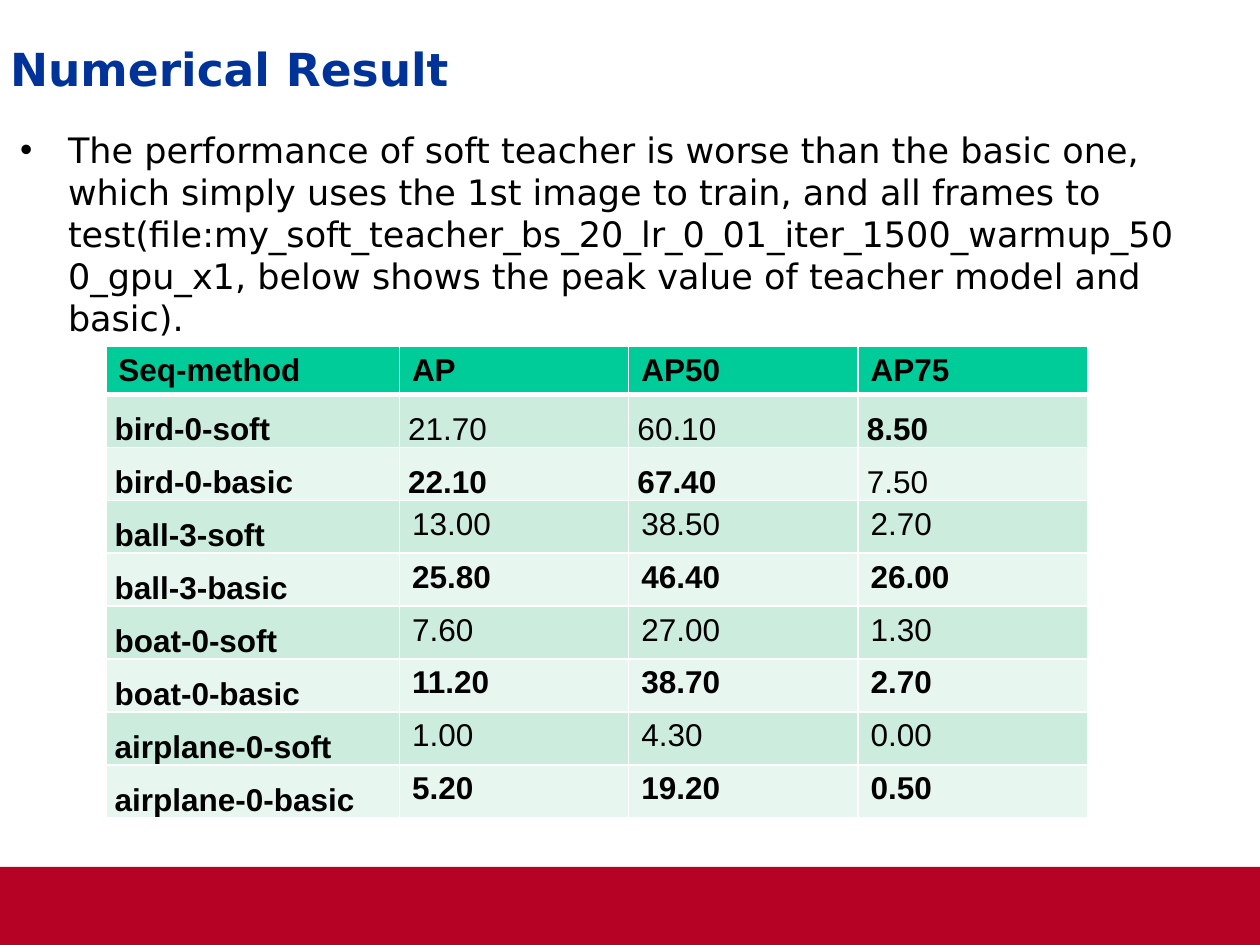
"""Build the numerical result slide with its score table."""
import dataclasses

import lxml.etree
import pptx
import pptx.dml.color
import pptx.enum.shapes
import pptx.enum.text
import pptx.oxml.ns
import pptx.util

Inches = pptx.util.Inches
Pt = pptx.util.Pt
qn = pptx.oxml.ns.qn


@dataclasses.dataclass(frozen=True)
class Theme:
    """Hold the colours, fonts and type sizes."""
    title: str = "003399"
    text: str = "000000"
    line: str = "FFFFFF"
    head: str = "00CC99"
    bands: tuple = ("CCECDE", "E7F6EF")
    bar: str = "B60225"
    sans: str = "DejaVu Sans"
    grid: str = "Arial"
    big: int = 26
    mid: int = 20
    small: int = 18


THEME = Theme()
HEADS = ("Seq-method", "AP", "AP50", "AP75")
SCORES = {
    "bird-0": ((21.7, 60.1, 8.5), (22.1, 67.4, 7.5)),
    "ball-3": ((13.0, 38.5, 2.7), (25.8, 46.4, 26.0)),
    "boat-0": ((7.6, 27.0, 1.3), (11.2, 38.7, 2.7)),
    "airplane-0": ((1.0, 4.3, 0.0), (5.2, 19.2, 0.5)),
}
POINT = (
    "The performance of soft teacher is worse than the basic one, which simply "
    "uses the 1st image to train, and all frames to "
    "test(file:my_soft_teacher_bs_20_lr_0_01_iter_1500_warmup_500_gpu_x1, "
    "below shows the peak value of teacher model and basic)."
)


def paint(code):
    """Turn a hex code into a colour."""
    return pptx.dml.color.RGBColor.from_string(code)


def add_run(para, text, size, face, tint=THEME.text, bold=False):
    """Add one styled run to a paragraph."""
    run = para.add_run()
    run.text = text
    font = run.font
    font.size, font.name, font.bold = Pt(size), face, bold
    font.color.rgb = paint(tint)


def set_frame(frame):
    """Set the wrap and margins shared by the text areas."""
    frame.word_wrap = True
    frame.auto_size = pptx.enum.text.MSO_AUTO_SIZE.NONE
    frame.margin_left = frame.margin_top = 0
    frame.margin_right, frame.margin_bottom = Inches(0.1), Inches(0.05)


def add_bar(slide):
    """Draw the red bar at the foot."""
    bar = slide.shapes.add_shape(
        pptx.enum.shapes.MSO_SHAPE.RECTANGLE,
        0, Inches(6.88), Inches(10), Inches(0.62))
    bar.shadow.inherit = False
    bar.fill.solid()
    bar.fill.fore_color.rgb = paint(THEME.bar)
    bar.line.fill.background()


def set_title(slide, text):
    """Place and fill the title."""
    title = slide.shapes.title
    title.left, title.top = Inches(0.08), Inches(0.19)
    title.width, title.height = Inches(9.77), Inches(0.79)
    frame = title.text_frame
    set_frame(frame)
    frame.vertical_anchor = pptx.enum.text.MSO_ANCHOR.MIDDLE
    para = frame.paragraphs[0]
    para.alignment = pptx.enum.text.PP_ALIGN.LEFT
    para.line_spacing = 0.95
    add_run(para, text, THEME.big, THEME.sans, THEME.title, True)


def add_point(slide, text):
    """Add the bullet text above the table."""
    box = slide.shapes.add_textbox(
        Inches(0.16), Inches(1.02), Inches(9.42), Inches(1.7))
    set_frame(box.text_frame)
    para = box.text_frame.paragraphs[0]
    props = para._p.get_or_add_pPr()
    props.set("marL", str(Inches(0.38)))
    props.set("indent", str(Inches(-0.38)))
    font = lxml.etree.SubElement(props, qn("a:buFont"))
    font.set("typeface", THEME.grid)
    lxml.etree.SubElement(props, qn("a:buChar")).set("char", "•")
    para.space_after = Pt(3)
    add_run(para, text, THEME.mid, THEME.sans)


def add_edge(cell, side, width):
    """Draw one white edge of a cell."""
    edge = lxml.etree.SubElement(
        cell._tc.get_or_add_tcPr(), qn(f"a:ln{side}"), w=str(Pt(width)))
    fill = lxml.etree.SubElement(edge, qn("a:solidFill"))
    lxml.etree.SubElement(fill, qn("a:srgbClr"), val=THEME.line)


def fill_cell(cell, text, tint, bold, tight=False, top=1, base=1):
    """Fill, edge and label one cell."""
    for side, width in zip("LRTB", (1, 1, top, base)):
        add_edge(cell, side, width)
    cell.fill.solid()
    cell.fill.fore_color.rgb = paint(tint)
    para = cell.text_frame.paragraphs[0]
    if tight:
        cell.margin_left = cell.margin_right = Inches(0.07)
        cell.margin_top = cell.margin_bottom = 0
        para.line_spacing = 1.5
    add_run(para, text, THEME.small, THEME.grid, bold=bold)


def list_rows():
    """Give each row as a name, its scores and which of them win."""
    for name, pair in SCORES.items():
        best = [max(both) for both in zip(*pair)]
        for kind, marks in zip(("soft", "basic"), pair):
            wins = [mark == peak for mark, peak in zip(marks, best)]
            yield f"{name}-{kind}", marks, wins


def add_grid(slide):
    """Add the score table, with the better score of each pair in bold."""
    rows = list(list_rows())
    table = slide.shapes.add_table(
        len(rows) + 1, len(HEADS), Inches(0.84), Inches(2.75),
        Inches(7.79), Inches(3.74)).table
    for col, width in zip(table.columns, (2.33, 1.82, 1.82, 1.82)):
        col.width = Inches(width)
    for index, row in enumerate(table.rows):
        row.height = Inches(0.42 if index else 0.38)
    for col, text in enumerate(HEADS):
        fill_cell(table.cell(0, col), text, THEME.head, True, base=3)
    for index, (name, marks, wins) in enumerate(rows, 1):
        tint = THEME.bands[(index - 1) % 2]
        top = 3 if index == 1 else 1
        fill_cell(table.cell(index, 0), name, tint, True, True, top)
        for col, (mark, win) in enumerate(zip(marks, wins), 1):
            fill_cell(table.cell(index, col), f"{mark:.2f}", tint, win,
                      index <= 2, top)


def main():
    """Build and save the slide."""
    deck = pptx.Presentation()
    deck.slide_width, deck.slide_height = Inches(10), Inches(7.5)
    slide = deck.slides.add_slide(deck.slide_layouts[5])
    add_bar(slide)
    set_title(slide, "Numerical Result")
    add_point(slide, POINT)
    add_grid(slide)
    deck.save("out.pptx")


if __name__ == "__main__":
    main()
